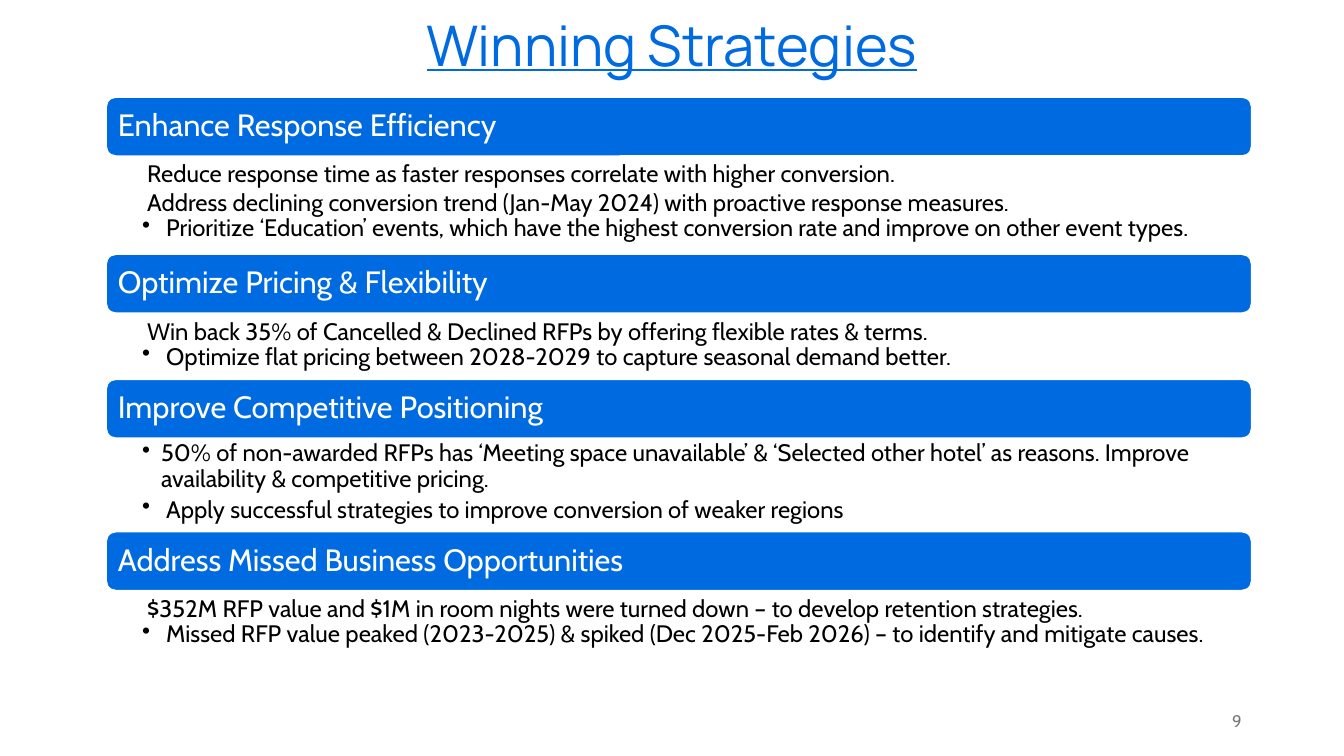
import pptx
import pptx.util
import pptx.dml.color
import pptx.enum.shapes
import pptx.enum.text
import pptx.oxml
import pptx.oxml.ns
from dataclasses import dataclass

Cm = pptx.util.Cm
Pt = pptx.util.Pt
ALIGN = pptx.enum.text.PP_ALIGN
ANCHOR = pptx.enum.text.MSO_ANCHOR


@dataclass(frozen=True)
class Theme:
    blue: str = "006AE1"
    white: str = "FFFFFF"
    black: str = "000000"
    grey: str = "797979"
    title_font: str = "Manrope"
    body_font: str = "Cabin"
    title_size: int = 40
    heading_size: int = 22
    body_size: int = 17
    number_size: int = 12


theme = Theme()


def prepare_frame(shape, insets, anchor=ANCHOR.TOP):
    """Wrap the text of a shape; insets are left, top, right, bottom in cm."""
    frame = shape.text_frame
    frame.word_wrap = True
    frame.vertical_anchor = anchor
    frame.margin_left, frame.margin_top, frame.margin_right, frame.margin_bottom = map(Cm, insets)
    return frame


def write(paragraph, text, size, color, font=theme.body_font, align=ALIGN.LEFT, line_spacing=0.9):
    paragraph.text = text
    paragraph.alignment = align
    paragraph.line_spacing = line_spacing
    run_font = paragraph.runs[0].font
    run_font.name = font
    run_font.size = Pt(size)
    run_font.color.rgb = pptx.dml.color.RGBColor.from_string(color)


presentation = pptx.Presentation()
presentation.slide_width = Cm(33.87)
presentation.slide_height = Cm(19.05)
slide = presentation.slides.add_slide(presentation.slide_layouts[6])

# Slide number and title
number_box = slide.shapes.add_textbox(Cm(23.92), Cm(17.66), Cm(7.62), Cm(1.01))
number_frame = prepare_frame(number_box, (0.25, 0.13, 0.25, 0.13), ANCHOR.MIDDLE)
write(number_frame.paragraphs[0], "9", theme.number_size, theme.grey,
      align=ALIGN.RIGHT, line_spacing=1.0)

title_box = slide.shapes.add_textbox(Cm(2.33), Cm(0.33), Cm(29.21), Cm(3.68))
title = prepare_frame(title_box, (0.25, 0.13, 0.25, 0.13)).paragraphs[0]
write(title, "Winning Strategies", theme.title_size, theme.blue, theme.title_font, ALIGN.CENTER)
title.runs[0].font.underline = True

# Each section: heading, height of its body in cm, and lines of (text, bulleted, text indent in cm)
PLAIN, HANGING, WIDE_HANGING = 0.13, 0.48, 0.61
sections = [
    ("Enhance Response Efficiency", 2.46, [
        ("Reduce response time as faster responses correlate with higher conversion.", False, PLAIN),
        ("Address declining conversion trend (Jan-May 2024) with proactive response measures.",
         False, PLAIN),
        ("Prioritize ‘Education’ events, which have the highest conversion rate and improve on "
         "other event types.", True, WIDE_HANGING),
    ]),
    ("Optimize Pricing & Flexibility", 1.65, [
        ("Win back 35% of Cancelled & Declined RFPs by offering flexible rates & terms.",
         False, PLAIN),
        ("Optimize flat pricing between 2028-2029 to capture seasonal demand better.",
         True, WIDE_HANGING),
    ]),
    ("Improve Competitive Positioning", 2.34, [
        ("50% of non-awarded RFPs has ‘Meeting space unavailable’ & ‘Selected other hotel’ as "
         "reasons. Improve availability & competitive pricing.", True, HANGING),
        ("Apply successful strategies to improve conversion of weaker regions", True, WIDE_HANGING),
    ]),
    ("Address Missed Business Opportunities", 1.65, [
        ("$352M RFP value and $1M in room nights were turned down – to develop retention "
         "strategies.", False, PLAIN),
        ("Missed RFP value peaked (2023-2025) & spiked (Dec 2025-Feb 2026) – to identify and "
         "mitigate causes.", True, WIDE_HANGING),
    ]),
]

left, width, heading_height = 2.67, 28.88, 1.5
top = 2.44
for heading, body_height, lines in sections:
    bar = slide.shapes.add_shape(pptx.enum.shapes.MSO_SHAPE.ROUNDED_RECTANGLE,
                                 Cm(left), Cm(top), Cm(width), Cm(heading_height))
    bar.shadow.inherit = False
    bar.fill.solid()
    bar.fill.fore_color.rgb = pptx.dml.color.RGBColor.from_string(theme.blue)
    bar.line.color.rgb = pptx.dml.color.RGBColor.from_string(theme.white)
    bar.line.width = Pt(1.5)
    # The rounded corners already inset the text by 0.07 cm
    heading_frame = prepare_frame(bar, (0.23, 0, 0.23, 0), ANCHOR.MIDDLE)
    write(heading_frame.paragraphs[0], heading, theme.heading_size, theme.white)

    body = slide.shapes.add_textbox(Cm(left), Cm(top + heading_height), Cm(width), Cm(body_height))
    body_frame = prepare_frame(body, (0.91, 0.07, 0.43, 0.07))
    for index, (text, bulleted, indent) in enumerate(lines):
        paragraph = body_frame.add_paragraph() if index else body_frame.paragraphs[0]
        write(paragraph, text, theme.body_size, theme.black,
              line_spacing=0.9 if bulleted else 1.0)
        properties = paragraph._p.get_or_add_pPr()
        properties.set("marL", str(Cm(indent)))
        if bulleted:
            paragraph.space_after = Pt(3.4)
            properties.set("indent", str(-Cm(indent)))
            properties.append(pptx.oxml.parse_xml(
                f'<a:buChar {pptx.oxml.ns.nsdecls("a")} char="•"/>'))
    top += heading_height + body_height

presentation.save("out.pptx")
